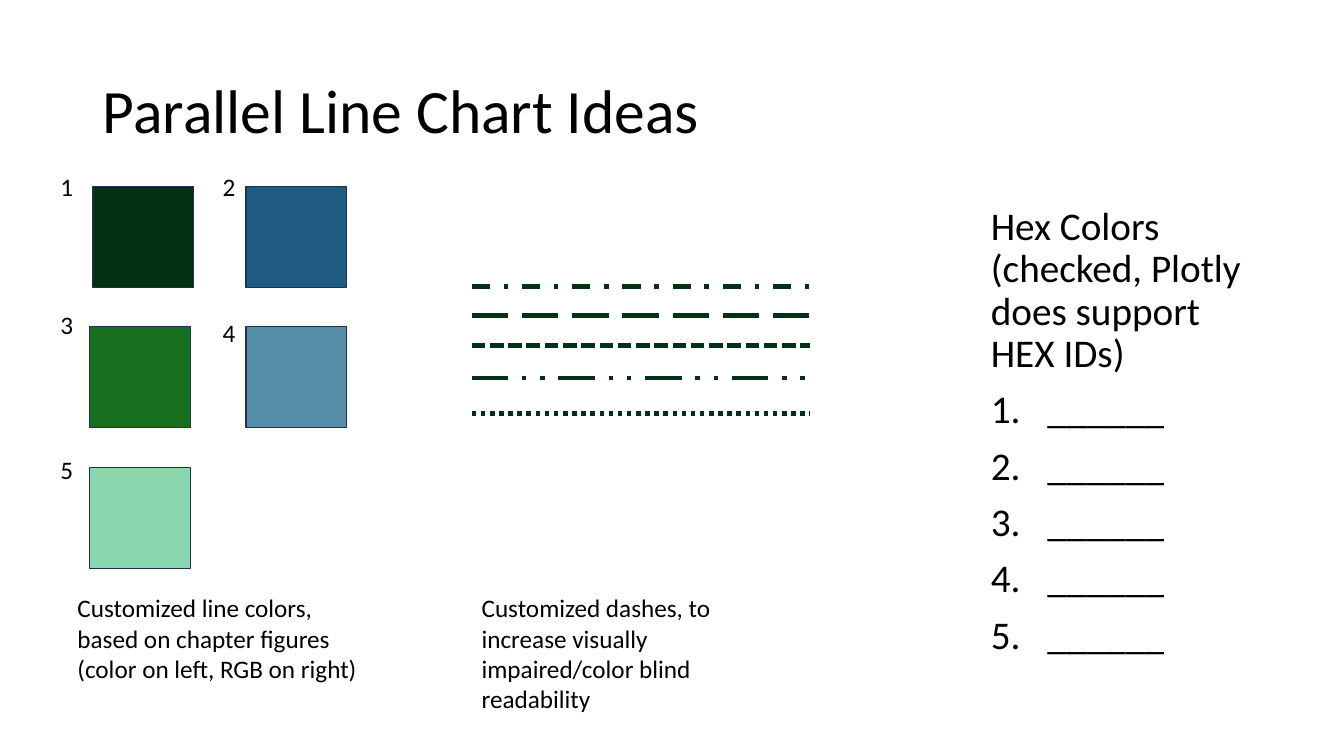
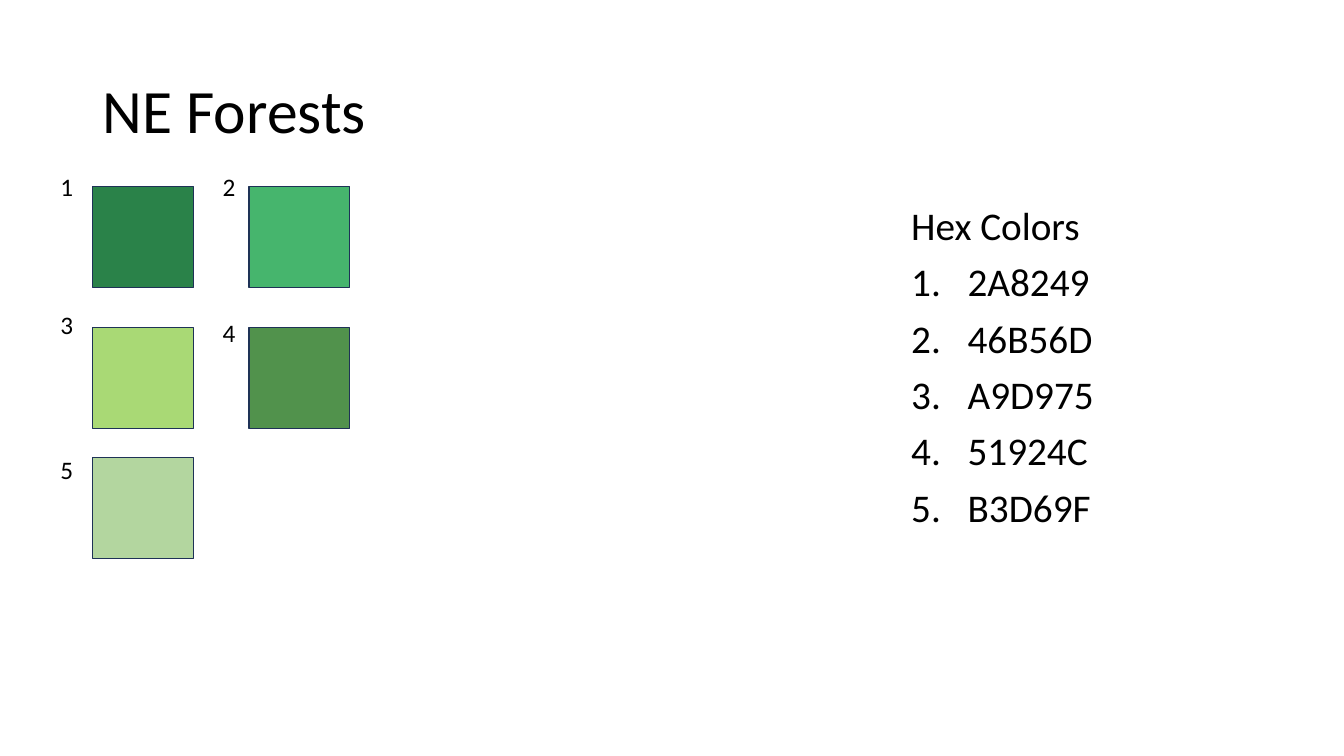
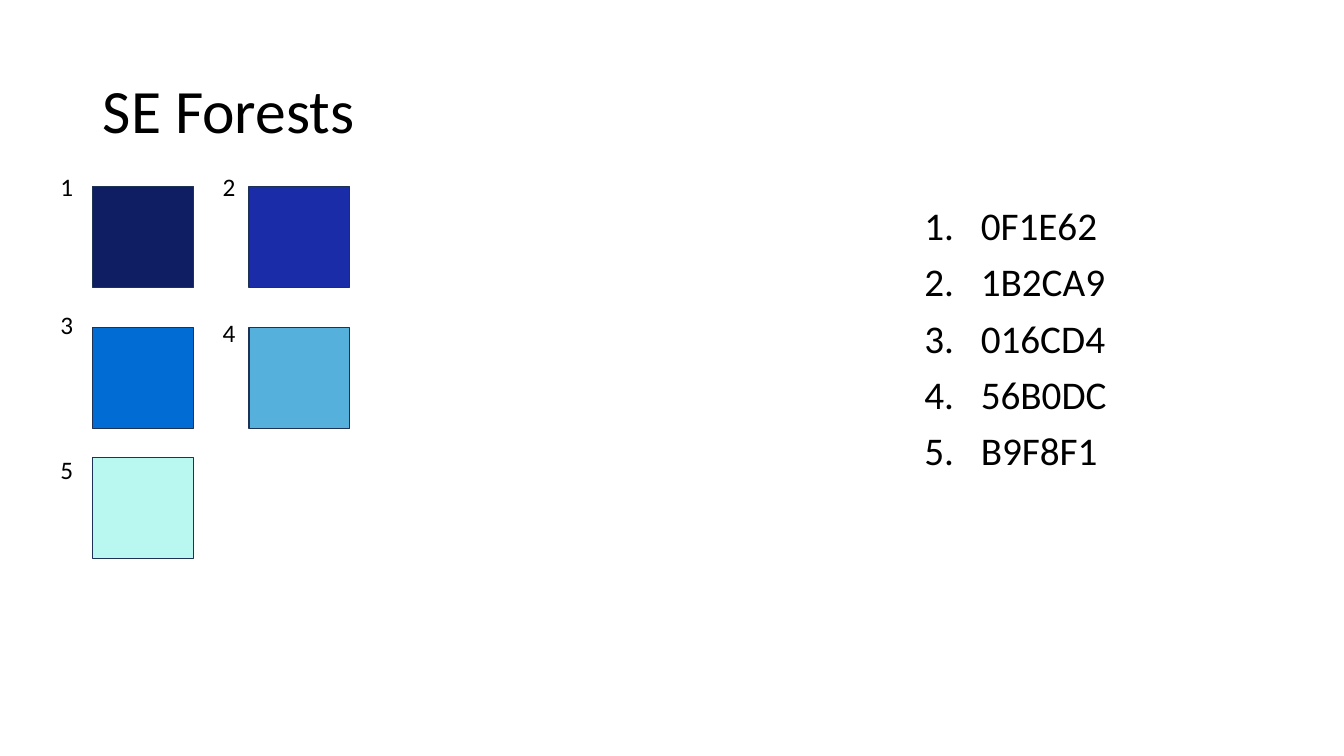
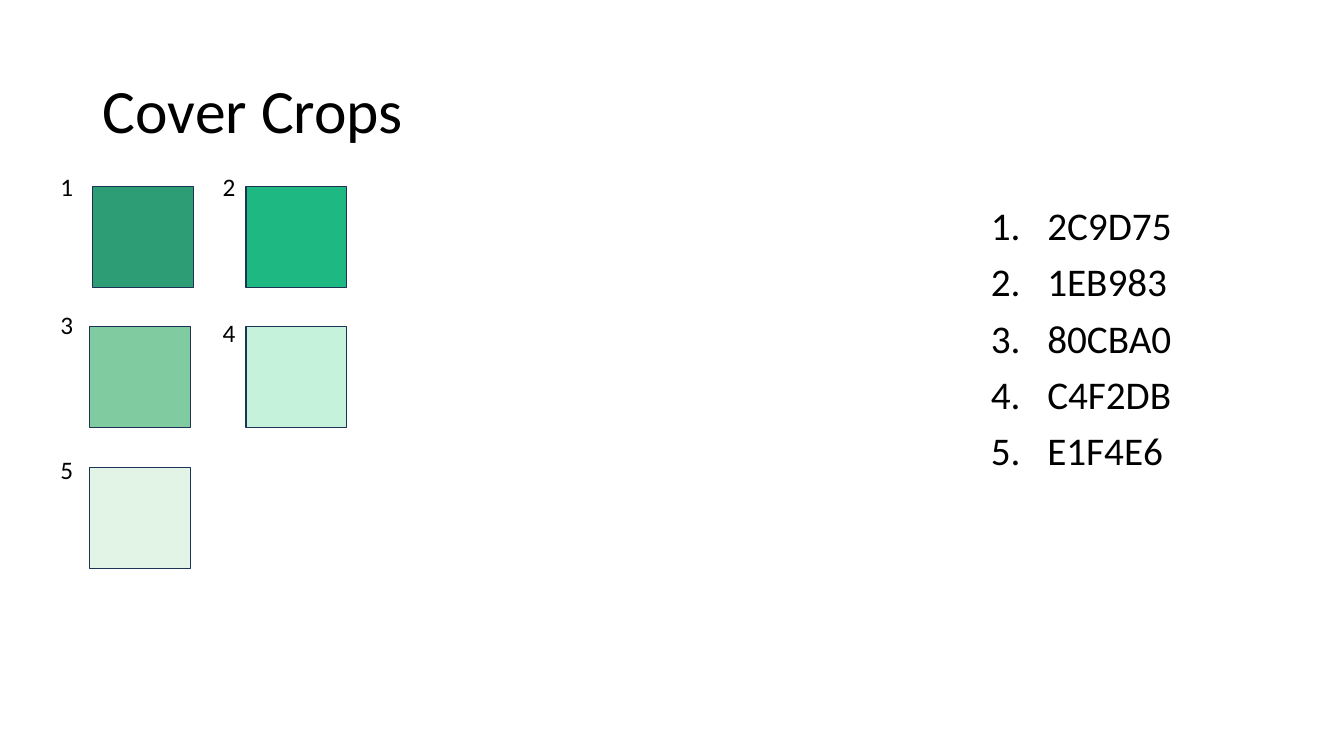
"""Build four slides of colour palettes for a parallel line chart."""
from dataclasses import dataclass

from lxml import etree
from pptx import Presentation
from pptx.dml.color import RGBColor
from pptx.enum.dml import MSO_LINE
from pptx.enum.shapes import MSO_CONNECTOR, MSO_SHAPE
from pptx.enum.text import MSO_ANCHOR, MSO_AUTO_SIZE, PP_ALIGN
from pptx.oxml.ns import qn
from pptx.util import Pt

LEFT = PP_ALIGN.LEFT
TOP, MIDDLE = MSO_ANCHOR.TOP, MSO_ANCHOR.MIDDLE
FIXED, GROW = MSO_AUTO_SIZE.NONE, MSO_AUTO_SIZE.SHAPE_TO_FIT_TEXT
RECTANGLE, STRAIGHT = MSO_SHAPE.RECTANGLE, MSO_CONNECTOR.STRAIGHT
PX = 9144


@dataclass(frozen=True)
class Theme:
    font: str = "Calibri"
    ink: str = "000000"
    outline: str = "1E3256"
    dash: str = "043013"
    title_size: int = 44
    list_size: int = 28
    note_size: int = 18


THEME = Theme()
TITLE_FRAME = {"vertical_anchor": MIDDLE, "word_wrap": True, "auto_size": FIXED}
LIST_FRAME = {"vertical_anchor": TOP, "word_wrap": True, "auto_size": FIXED}
NOTE_FRAME = {"vertical_anchor": TOP, "word_wrap": True, "auto_size": GROW}
LABEL_FRAME = {"vertical_anchor": TOP, "word_wrap": False, "auto_size": GROW}

STAGGERED = [(92, 185), (244, 185), (89, 324), (244, 324), (89, 464)]
ALIGNED = [(x, y) for y in (185, 325, 454) for x in (92, 247)][:5]
LABEL_SPOTS = [(50, 165), (211, 165), (50, 302), (211, 310), (50, 446)]
SWATCH_SIDE = 100
LIST_RIGHT = 1242
LIST_INDENT = 56

PALETTES = [
    {"title": "Parallel Line Chart Ideas",
     "heading": "Hex Colors (checked, Plotly does support HEX IDs)",
     "colors": ["053013", "205B84", "177020", "558CA8", "8AD6AD"],
     "entries": ["______"] * 5, "spots": STAGGERED, "list_left": 973},
    {"title": "NE Forests", "heading": "Hex Colors",
     "colors": ["2A8249", "46B56D", "A9D975", "51924C", "B3D69F"],
     "spots": ALIGNED, "list_left": 894},
    {"title": "SE Forests",
     "colors": ["0F1E62", "1B2CA9", "016CD4", "56B0DC", "B9F8F1"],
     "spots": ALIGNED, "list_left": 907},
    {"title": "Cover Crops",
     "colors": ["2C9D75", "1EB983", "80CBA0", "C4F2DB", "E1F4E6"],
     "spots": STAGGERED, "list_left": 973},
]
DASHES = [
    (284, MSO_LINE.DASH_DOT),
    (313, MSO_LINE.LONG_DASH),
    (343, MSO_LINE.SQUARE_DOT),
    (375, MSO_LINE.DASH_DOT_DOT),
    (410, MSO_LINE.ROUND_DOT),
]
NOTES = [
    (67, 101, "Customized line colors, based on chapter figures (color on left, RGB on right)"),
    (468, 131, "Customized dashes, to increase visually impaired/color blind readability"),
]


def place(box, left, top, width, height, frame_format):
    """Position a box in px and format its text frame."""
    bounds = {"left": left, "top": top, "width": width, "height": height}
    for name, length in bounds.items():
        setattr(box, name, length * PX)
    for name, value in frame_format.items():
        setattr(box.text_frame, name, value)
    return box.text_frame


def write(paragraph, text, size, spacing=1.0, before=0):
    """Put one formatted run into a paragraph."""
    layout = {"alignment": LEFT, "line_spacing": spacing, "space_before": Pt(before)}
    for name, value in layout.items():
        setattr(paragraph, name, value)
    run = paragraph.add_run()
    run.text = text
    for name, value in {"name": THEME.font, "size": Pt(size)}.items():
        setattr(run.font, name, value)
    run.font.color.rgb = RGBColor.from_string(THEME.ink)


deck = Presentation()
deck.slide_width, deck.slide_height = 12192000, 6858000

for palette in PALETTES:
    slide = deck.slides.add_slide(deck.slide_layouts[1])
    heading = palette.get("heading")
    entries = palette.get("entries", palette["colors"])

    title = place(slide.shapes.title, 92, 40, 1150, 145, TITLE_FRAME)
    write(title.paragraphs[0], palette["title"], THEME.title_size, 0.9)

    list_left = palette["list_left"]
    hex_list = place(slide.placeholders[1], list_left, 200,
                     LIST_RIGHT - list_left, 476, LIST_FRAME)
    lines = ([heading] if heading else []) + entries
    for index, line in enumerate(lines):
        paragraph = hex_list.add_paragraph() if index else hex_list.paragraphs[0]
        write(paragraph, line, THEME.list_size, 0.9, 10 if index else 0)
        numbered = index > 0 or not heading
        indent = LIST_INDENT * PX if numbered else 0
        properties = paragraph._p.get_or_add_pPr()
        properties.set("marL", str(indent))
        properties.set("indent", str(-indent))
        if numbered:
            etree.SubElement(properties, qn("a:buFont"), typeface="+mj-lt")
            etree.SubElement(properties, qn("a:buAutoNum"), type="arabicPeriod")
        else:
            etree.SubElement(properties, qn("a:buNone"))

    for color, (left, top) in zip(palette["colors"], palette["spots"]):
        swatch = slide.shapes.add_shape(
            RECTANGLE, left * PX, top * PX, SWATCH_SIDE * PX, SWATCH_SIDE * PX)
        swatch.shadow.inherit = False
        swatch.fill.solid()
        swatch.fill.fore_color.rgb = RGBColor.from_string(color)
        swatch.line.color.rgb = RGBColor.from_string(THEME.outline)
        swatch.line.width = Pt(1)

    for number, (left, top) in enumerate(LABEL_SPOTS, 1):
        label = place(slide.shapes.add_textbox(0, 0, 0, 0), left, top, 33, 40, LABEL_FRAME)
        write(label.paragraphs[0], str(number), THEME.note_size)

ideas = deck.slides[0].shapes
for level, dash_style in DASHES:
    sample = ideas.add_connector(STRAIGHT, 468 * PX, level * PX, 804 * PX, level * PX)
    sample.line.color.rgb = RGBColor.from_string(THEME.dash)
    sample.line.width = Pt(3.25)
    sample.line.dash_style = dash_style
    etree.SubElement(sample._element.spPr, qn("a:effectLst"))

for left, height, text in NOTES:
    note = place(ideas.add_textbox(0, 0, 0, 0), left, 583, 304, height, NOTE_FRAME)
    write(note.paragraphs[0], text, THEME.note_size)

deck.save("out.pptx")
